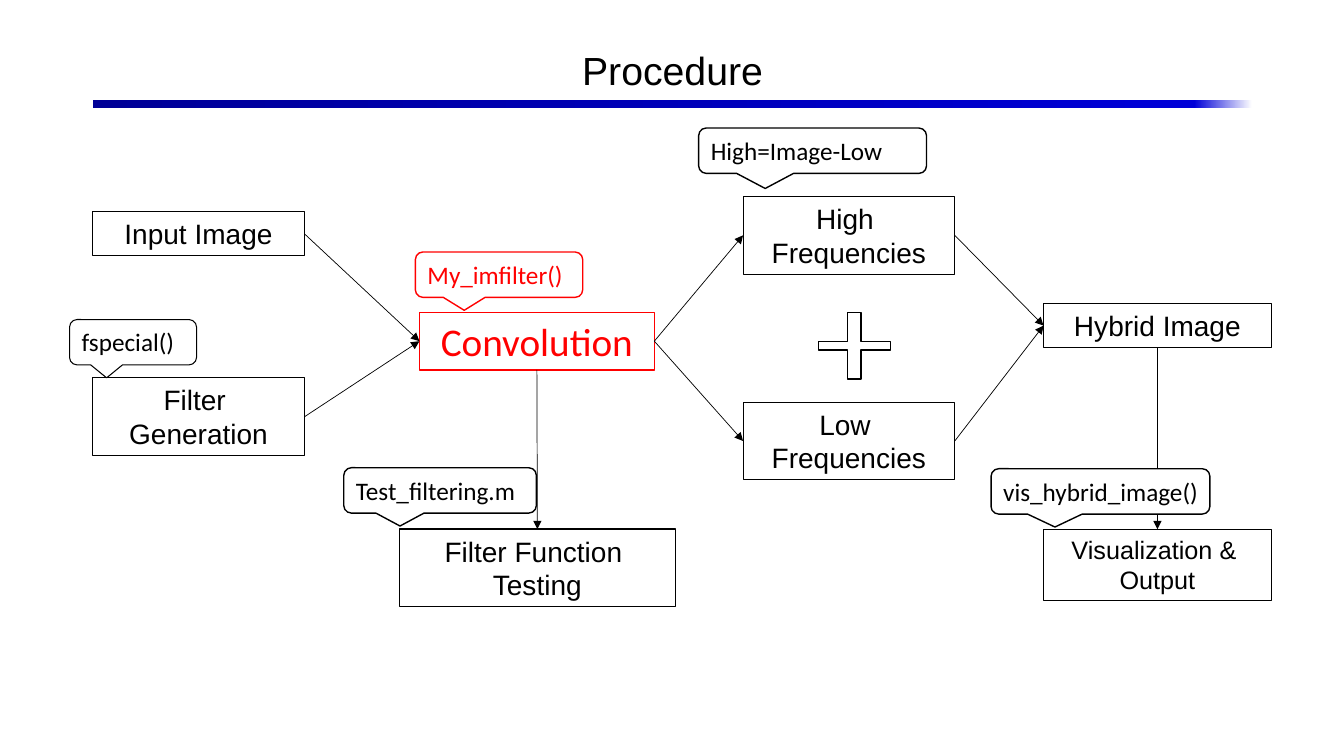
from copy import deepcopy

from lxml.etree import SubElement
from pptx import Presentation
from pptx.dml.color import RGBColor
from pptx.enum.shapes import MSO_CONNECTOR, MSO_SHAPE
from pptx.enum.text import MSO_ANCHOR, MSO_AUTO_SIZE, PP_ALIGN
from pptx.oxml.ns import qn
from pptx.util import Inches, Pt

BLACK, RED, WHITE = "000000", "FF0000", "FFFFFF"


def color(value):
    return RGBColor.from_string(value)


def add_node(kind, left, top, width, height, lines, size, font, ink, weight, filled, align):
    shape = slide.shapes.add_shape(kind, Inches(left), Inches(top), Inches(width), Inches(height))
    shape.shadow.inherit = False
    if filled:
        shape.fill.solid()
        shape.fill.fore_color.rgb = color(WHITE)
    else:
        shape.fill.background()
    shape.line.color.rgb = color(ink)
    shape.line.width = Pt(weight)
    frame = shape.text_frame
    frame.word_wrap = True
    frame.auto_size = MSO_AUTO_SIZE.SHAPE_TO_FIT_TEXT
    frame.vertical_anchor = MSO_ANCHOR.TOP
    frame.text = "\n".join(lines)
    for paragraph in frame.paragraphs:
        paragraph.alignment = align
        paragraph.font.size = Pt(size)
        paragraph.font.name = font
        paragraph.font.color.rgb = color(ink)
    return shape


presentation = Presentation()
presentation.slide_width = Inches(13.33)
presentation.slide_height = Inches(7.5)
slide = presentation.slides.add_slide(presentation.slide_layouts[6])

# Rule under the title, fading to white at its right end
rule = slide.shapes.add_shape(
    MSO_SHAPE.RECTANGLE, Inches(0.92), Inches(0.99), Inches(11.5), Inches(0.08))
rule.shadow.inherit = False
rule.line.fill.background()
rule.fill.gradient()
rule.fill.gradient_angle = 0
stop_list = rule.fill._fill._gradFill.find(qn("a:gsLst"))
stop_list.append(deepcopy(stop_list[-1]))
for stop, (position, value) in zip(
        rule.fill.gradient_stops, [(0, "000097"), (0.95, "0000D7"), (1, WHITE)]):
    stop.position = position
    stop.color.rgb = color(value)

# Title
title = slide.shapes.add_textbox(Inches(0.92), Inches(0.39), Inches(11.5), Inches(0.67))
title.text_frame.word_wrap = True
title.text_frame.vertical_anchor = MSO_ANCHOR.MIDDLE
title.text_frame.text = "Procedure"
paragraph = title.text_frame.paragraphs[0]
paragraph.alignment = PP_ALIGN.CENTER
paragraph.line_spacing = 0.9
paragraph.font.size = Pt(28)
paragraph.font.name = "Arial"
paragraph.font.color.rgb = color(BLACK)

# Process steps: name, left, top, width, height, lines, size, font, ink, weight, filled
steps = [
    ("input", 0.92, 2.1, 2.1, 0.44, ["Input Image"], 20, "Arial", BLACK, 0.75, False),
    ("filter", 0.92, 3.75, 2.1, 0.77, ["Filter ", "Generation"], 20, "Arial", BLACK, 0.75, False),
    ("convolution", 4.16, 3.1, 2.33, 0.57, ["Convolution"], 28, "Calibri", RED, 1, True),
    ("high", 7.37, 1.95, 2.1, 0.77, ["High ", "Frequencies"], 20, "Arial", BLACK, 0.75, False),
    ("low", 7.37, 3.99, 2.1, 0.77, ["Low ", "Frequencies"], 20, "Arial", BLACK, 0.75, False),
    ("hybrid", 10.35, 3.01, 2.26, 0.44, ["Hybrid Image"], 20, "Arial", BLACK, 0.75, False),
    ("output", 10.35, 5.25, 2.26, 0.71, ["Visualization & ", "Output"], 18, "Arial", BLACK, 0.75, False),
    ("testing", 3.96, 5.25, 2.74, 0.77, ["Filter Function ", "Testing"], 20, "Arial", BLACK, 1, True),
]
boxes = {name: add_node(MSO_SHAPE.RECTANGLE, *values, PP_ALIGN.CENTER)
         for name, *values in steps}

# Arrows between steps: sides are 0 top, 1 left, 2 bottom, 3 right
arrows = [
    ("convolution", 3, "high", 1),
    ("convolution", 3, "low", 1),
    ("input", 3, "convolution", 1),
    ("filter", 3, "convolution", 1),
    ("high", 3, "hybrid", 1),
    ("low", 3, "hybrid", 1),
    ("hybrid", 2, "output", 0),
    ("convolution", 2, "testing", 0),
]
for source, source_side, target, target_side in arrows:
    arrow = slide.shapes.add_connector(MSO_CONNECTOR.STRAIGHT, 0, 0, 0, 0)
    arrow.begin_connect(boxes[source], source_side)
    arrow.end_connect(boxes[target], target_side)
    arrow.line.color.rgb = color(BLACK)
    arrow.line.width = Pt(0.5)
    SubElement(arrow.line._get_or_add_ln(), qn("a:tailEnd"), type="triangle")
    SubElement(arrow._element.spPr, qn("a:effectLst"))

# Plus sign joining high and low frequencies
plus = slide.shapes.add_shape(
    MSO_SHAPE.CROSS, Inches(8.12), Inches(3.1), Inches(0.71), Inches(0.66))
plus.shadow.inherit = False
plus.adjustments[0] = 0.437
plus.fill.background()
plus.line.color.rgb = color(BLACK)
plus.line.width = Pt(1)

# Callouts: left, top, width, text, ink, weight, filled, pointer depth
callouts = [
    (0.69, 3.17, 1.26, "fspecial()", BLACK, 0.75, False, 0.786),
    (4.12, 2.5, 1.66, "My_imfilter()", RED, 1, True, 0.786),
    (6.93, 1.27, 2.26, "High=Image-Low", BLACK, 1, True, 0.833),
    (9.83, 4.65, 2.17, "vis_hybrid_image()", BLACK, 1, True, 0.786),
    (3.41, 4.64, 1.91, "Test_filtering.m", BLACK, 1, True, 0.786),
]
for left, top, width, text, ink, weight, filled, depth in callouts:
    callout = add_node(MSO_SHAPE.ROUNDED_RECTANGULAR_CALLOUT, left, top, width, 0.45,
                       [text], 18, "Calibri", ink, weight, filled, PP_ALIGN.LEFT)
    callout.text_frame.margin_right = Inches(0.05)
    for index, value in enumerate([-0.208, depth, 0.167]):
        callout.adjustments[index] = value

presentation.save("out.pptx")
